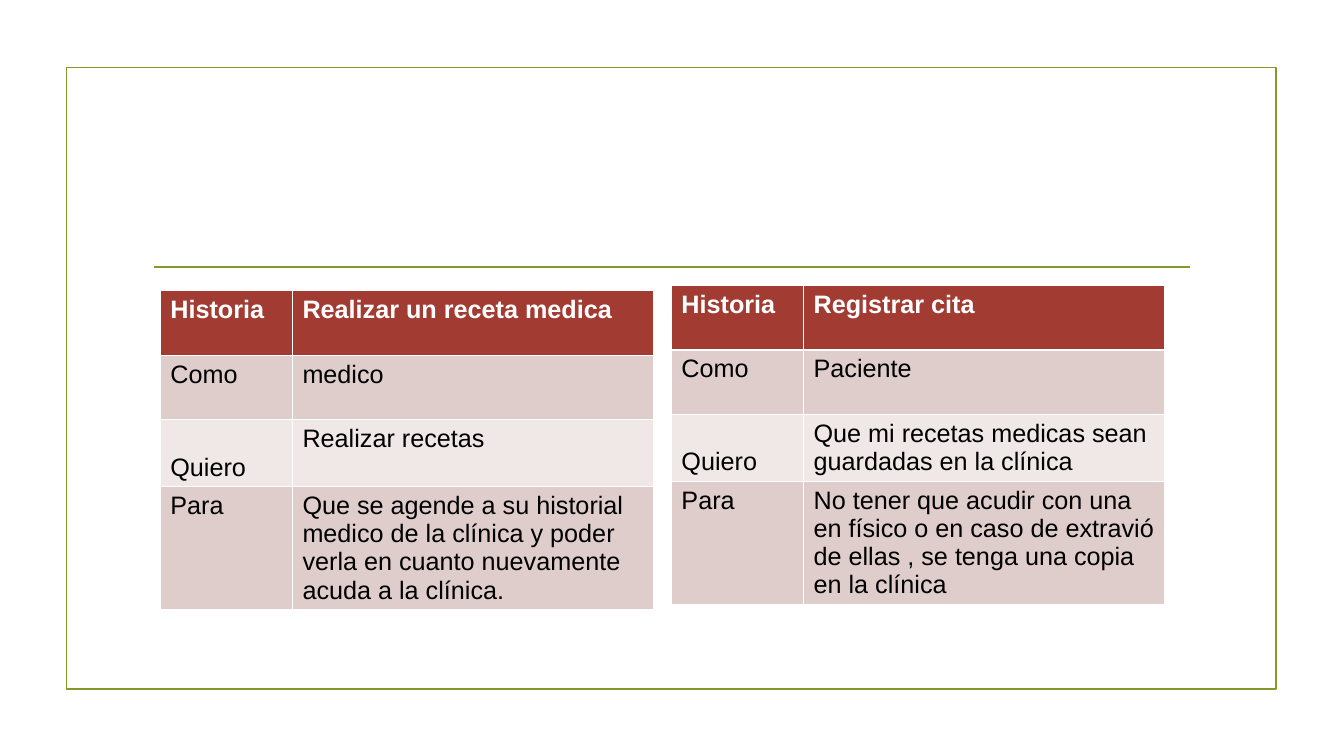
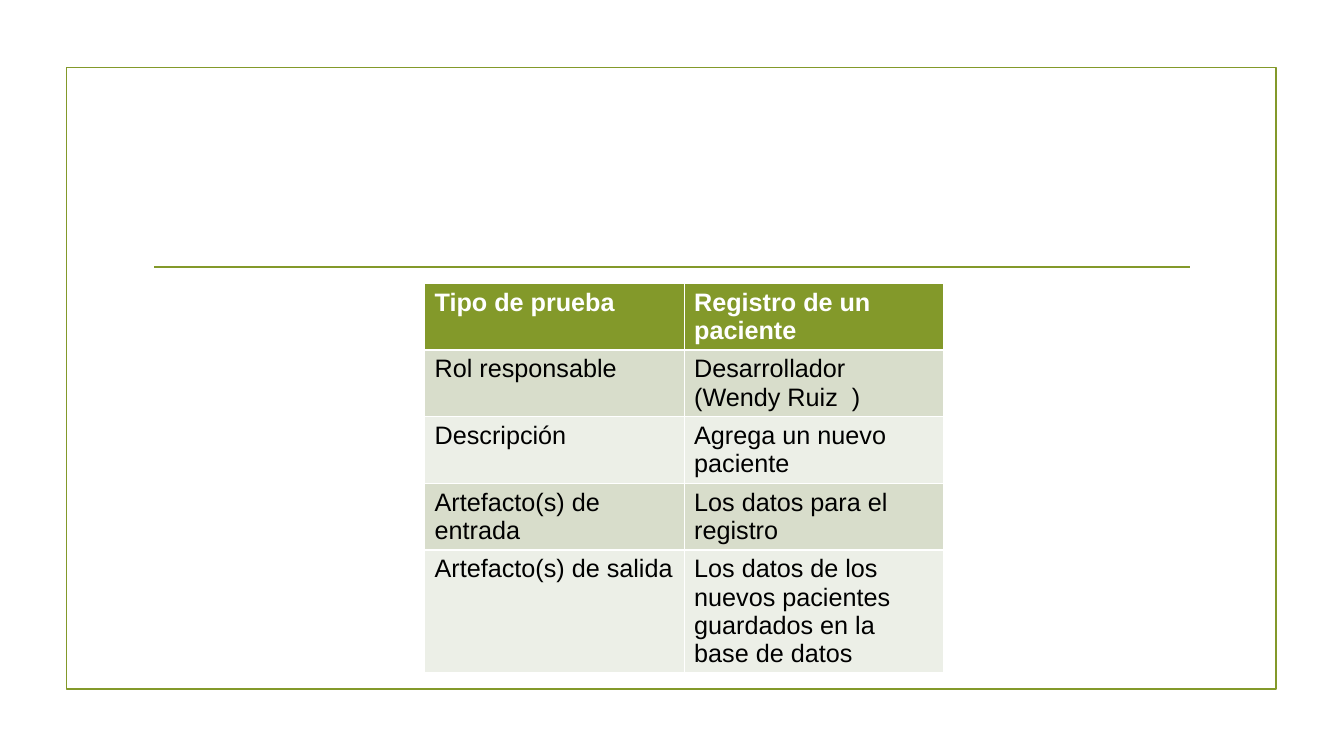
from lxml import etree
from pptx import Presentation
from pptx.dml.color import RGBColor
from pptx.enum.shapes import MSO_CONNECTOR, MSO_SHAPE
from pptx.enum.text import MSO_ANCHOR
from pptx.oxml.ns import qn
from pptx.util import Cm, Pt

RECTANGLE = MSO_SHAPE.RECTANGLE
STRAIGHT = MSO_CONNECTOR.STRAIGHT
TOP, BOTTOM = MSO_ANCHOR.TOP, MSO_ANCHOR.BOTTOM

WHITE = RGBColor(0xFF, 0xFF, 0xFF)
BLACK = RGBColor(0x00, 0x00, 0x00)
GREEN = RGBColor(0x83, 0x99, 0x2A)
RED = RGBColor(0xA2, 0x3C, 0x33)

# Header fill, then the two alternating band fills
RED_FILLS = (RED, RGBColor(0xDF, 0xCD, 0xCC), RGBColor(0xF0, 0xE7, 0xE7))
GREEN_FILLS = (GREEN, RGBColor(0xD8, 0xDD, 0xCB), RGBColor(0xEC, 0xEF, 0xE7))

FONT = "Arial"
FONT_SIZE = Pt(18)
LINE_WIDTH = Pt(1.25)


def add_banded_table(slide, left, top, widths, heights, rows, fills):
    """Add a table with a bold header row and alternating bands."""
    table = slide.shapes.add_table(
        len(rows), len(widths), Cm(left), Cm(top), Cm(sum(widths)), Cm(sum(heights))
    ).table
    for column, width in zip(table.columns, widths):
        column.width = Cm(width)
    for row, height in zip(table.rows, heights):
        row.height = Cm(height)
    for row_index, texts in enumerate(rows):
        is_header = row_index == 0
        fill = fills[0] if is_header else fills[2 - row_index % 2]
        for column_index, text in enumerate(texts):
            cell = table.cell(row_index, column_index)
            cell.text = text
            cell.fill.solid()
            cell.fill.fore_color.rgb = fill
            cell.vertical_anchor = BOTTOM if text == "Quiero" else TOP
            font = cell.text_frame.paragraphs[0].font
            font.name = FONT
            font.size = FONT_SIZE
            font.bold = is_header
            font.color.rgb = WHITE if is_header else BLACK


presentation = Presentation()
presentation.slide_width = Cm(33.87)
presentation.slide_height = Cm(19.05)
layout = presentation.slide_layouts[6]
stories_slide = presentation.slides.add_slide(layout)
test_slide = presentation.slides.add_slide(layout)

# Shared frame and rule, moved to the layout so every slide shows them
frame = stories_slide.shapes.add_shape(
    RECTANGLE, Cm(1.68), Cm(1.7), Cm(30.48), Cm(15.67)
)
frame.fill.background()
frame.shadow.inherit = False
rule = stories_slide.shapes.add_connector(
    STRAIGHT, Cm(3.89), Cm(6.73), Cm(30), Cm(6.73)
)
etree.SubElement(rule.element.spPr, qn("a:effectLst"))
for shape in (frame, rule):
    shape.line.color.rgb = GREEN
    shape.line.width = LINE_WIDTH
    layout.shapes.element.append(shape.element)

# Slide 1: two user stories side by side
STORY_LABELS = ("Historia", "Como", "Quiero", "Para")
STORIES = (
    (4.04, 7.32, (
        "Realizar un receta medica",
        "medico",
        "Realizar recetas",
        "Que se agende a su historial medico de la clínica y poder verla "
        "en cuanto nuevamente acuda a la clínica.",
    )),
    (16.92, 7.19, (
        "Registrar cita",
        "Paciente",
        "Que mi recetas medicas sean guardadas en la clínica",
        "No tener que acudir con una en físico o en caso de extravió "
        "de ellas , se tenga una copia en la clínica",
    )),
)
for left, top, answers in STORIES:
    add_banded_table(
        stories_slide, left, top, (3.33, 9.09), (1.63, 1.63, 1.68, 3.07),
        list(zip(STORY_LABELS, answers)), RED_FILLS,
    )

# Slide 2: test description
TEST_ROWS = (
    ("Tipo de prueba", "Registro de un paciente"),
    ("Rol responsable", "Desarrollador (Wendy Ruiz  )"),
    ("Descripción", "Agrega un nuevo paciente"),
    ("Artefacto(s) de entrada", "Los datos para el registro"),
    ("Artefacto(s) de salida",
     "Los datos de los nuevos pacientes guardados en la base de datos"),
)
add_banded_table(
    test_slide, 10.7, 7.14, (6.54, 6.54), (1.68,) * 4 + (3.07,),
    TEST_ROWS, GREEN_FILLS,
)

presentation.save("out.pptx")
